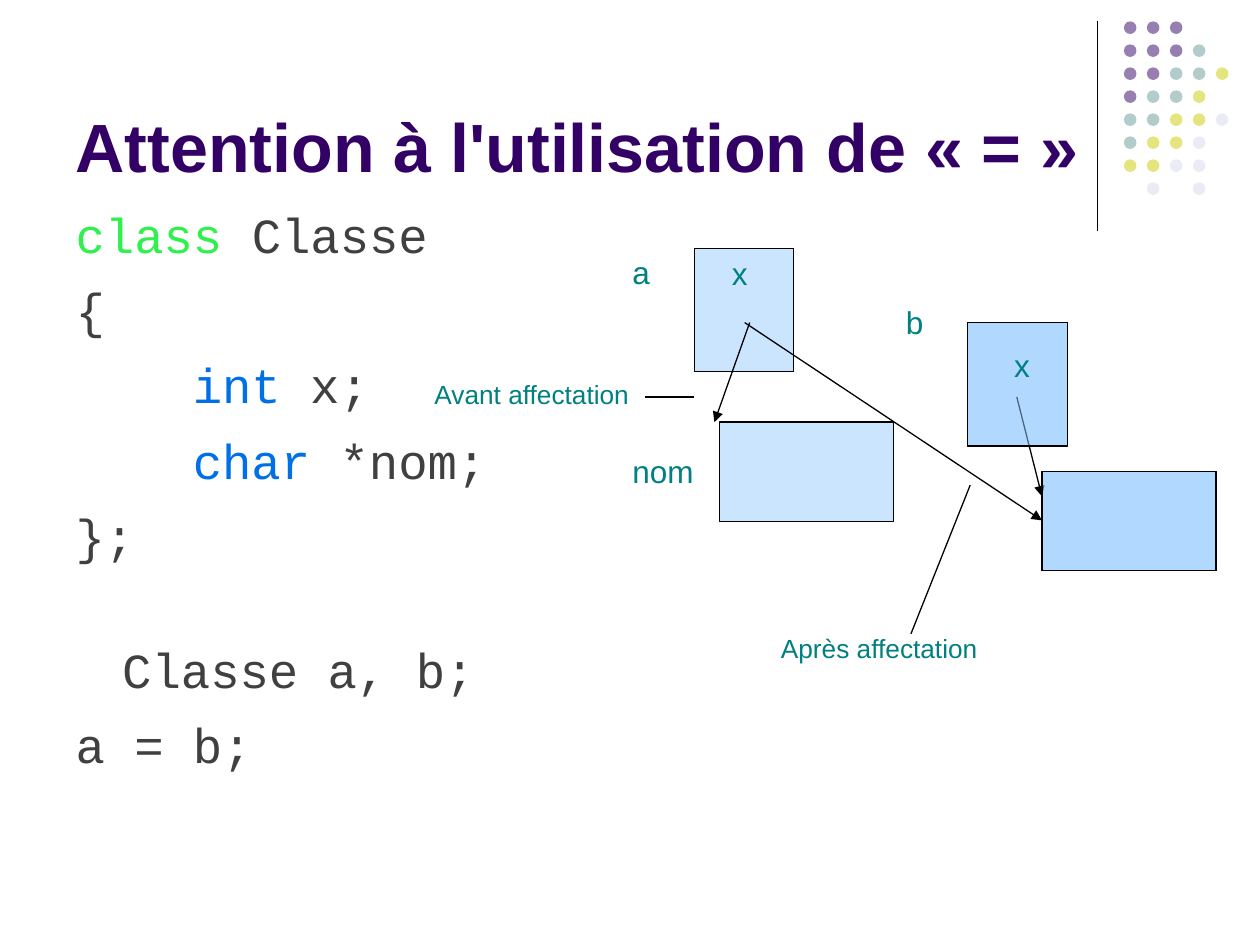
"""Build a slide on the pitfalls of assignment between objects holding pointers."""
from lxml import etree
from pptx import Presentation, util as u
from pptx.dml import color as c
from pptx.enum import shapes as s, text as t
from pptx.oxml import ns

COLORS = {
    "violet": "330066", "teal": "669999", "yellow": "CCCC00", "lilac": "D8D8EC",
    "box": "99CCFF", "line": "000000", "label": "008080",
    "code": "404040", "keyword": "30F050", "type": "0070E6",
}
Inches, Pt = u.Inches, u.Pt


class SlideBuilder:
    """Hold the style and the current slide, and draw each kind of element."""

    def __init__(self, presentation):
        """Start a slide with a title and a body."""
        self.slide = presentation.slides.add_slide(presentation.slide_layouts[1])
        self.shapes = self.slide.shapes
        self.line_width = Pt(0.75)

    def rgb(self, name):
        """Return the named colour."""
        return c.RGBColor.from_string(COLORS[name])

    def apply(self, target, values):
        """Set attributes from a dict."""
        for name, value in values.items():
            setattr(target, name, value)

    def add_run(self, paragraph, words, color, size, font="Arial", bold=False):
        """Append formatted text to a paragraph."""
        run = paragraph.add_run()
        run.text = words
        self.apply(run.font, {"name": font, "size": Pt(size), "bold": bold})
        run.font.color.rgb = self.rgb(color)

    def place(self, shape, left, top, width, height):
        """Move and size a shape."""
        self.apply(shape, {"left": Inches(left), "top": Inches(top),
                           "width": Inches(width), "height": Inches(height)})

    def title(self, words, *area):
        """Fill the title placeholder."""
        shape = self.shapes.title
        self.place(shape, *area)
        self.apply(shape.text_frame, {"vertical_anchor": t.MSO_ANCHOR.BOTTOM,
                                      "auto_size": t.MSO_AUTO_SIZE.NONE})
        paragraph = shape.text_frame.paragraphs[0]
        paragraph.alignment = t.PP_ALIGN.LEFT
        self.add_run(paragraph, words, "violet", 39, bold=True)

    def code(self, lines, *area):
        """Fill the body placeholder with coloured code."""
        shape = self.slide.placeholders[1]
        self.place(shape, *area)
        frame = shape.text_frame
        frame.auto_size = t.MSO_AUTO_SIZE.NONE
        for index, (indent, before, runs) in enumerate(lines):
            paragraph = frame.add_paragraph() if index else frame.paragraphs[0]
            self.apply(paragraph, {"space_before": Pt(before), "space_after": Pt(1.9)})
            properties = paragraph._p.get_or_add_pPr()
            properties.set("marL", str(Inches(indent)))
            properties.set("indent", "0")
            etree.SubElement(properties, ns.qn("a:buNone"))
            for words, color in runs:
                self.add_run(paragraph, words, color, 28, "Courier New")

    def label(self, words, size, *area):
        """Add a text label."""
        box = self.shapes.add_textbox(*map(Inches, area))
        box.text_frame.word_wrap = True
        self.add_run(box.text_frame.paragraphs[0], words, "label", size)

    def shape(self, kind, color, *area, outlined=False):
        """Add a half-transparent shape."""
        shape = self.shapes.add_shape(kind, *map(Inches, area))
        shape.shadow.inherit = False
        shape.fill.solid()
        shape.fill.fore_color.rgb = self.rgb(color)
        tint = shape.fill._xPr.find(ns.qn("a:solidFill"))[0]
        etree.SubElement(tint, ns.qn("a:alpha"), val="50000")
        if outlined:
            shape.line.color.rgb = self.rgb("line")
            shape.line.width = self.line_width
        else:
            shape.line.fill.background()
        return shape

    def box(self, *area):
        """Add a memory box."""
        kind = s.MSO_SHAPE.ROUNDED_RECTANGLE
        self.shape(kind, "box", *area, outlined=True).adjustments[0] = 0

    def line(self, start, end, arrow=False):
        """Add a straight line, with an arrowhead at its end if asked."""
        connector = self.shapes.add_connector(
            s.MSO_CONNECTOR.STRAIGHT, *map(Inches, (*start, *end)))
        connector.line.color.rgb = self.rgb("line")
        connector.line.width = self.line_width
        if arrow:
            etree.SubElement(connector.line._get_or_add_ln(), ns.qn("a:tailEnd"), type="triangle")
        etree.SubElement(connector._element.spPr, ns.qn("a:effectLst"))

    def dots(self, left, top, pitch, rows):
        """Add the dot ornament, one letter per dot."""
        names = {"V": "violet", "T": "teal", "Y": "yellow", "L": "lilac"}
        for row, letters in enumerate(rows):
            for column, letter in enumerate(letters):
                if letter in names:
                    self.shape(s.MSO_SHAPE.OVAL, names[letter],
                               left + column * pitch, top + row * pitch, 0.1, 0.1)


presentation = Presentation()
presentation.slide_width, presentation.slide_height = Inches(10), Inches(7.5)
builder = SlideBuilder(presentation)

builder.line((8.71, 0.17), (8.71, 1.83))
builder.dots(8.92, 0.17, 0.73 / 4,
             ["VVV", "VVVT", "VVTTY", "VTTY", "TTYYL", "TYYL", "YYLL", ".L.L"])
builder.title("Attention à l'utilisation de «\u00a0=\u00a0»", 0.5, 0.12, 8.23, 1.41)
builder.code([
    (0, 7.5, [("class ", "keyword"), ("Classe", "code")]),
    (0, 7.5, [("{", "code")]),
    (0.93, 7.5, [("int ", "type"), ("x;", "code")]),
    (0.93, 7.5, [("char ", "type"), ("*nom;", "code")]),
    (0, 7.5, [("};", "code")]),
    (0.37, 41.2, [("Classe a, b;", "code")]),
    (0, 7.5, [("a = b;", "code")]),
], 0.5, 1.57, 8.98, 5.11)

object_a, object_b = (5.51, 1.97, 0.79, 0.98), (7.68, 2.56, 0.79, 0.98)
name_a, name_b = (5.71, 3.35, 1.38, 0.79), (8.27, 3.74, 1.38, 0.79)
for area in (object_b, name_a, name_b, object_a):
    builder.box(*area)
builder.line((5.95, 2.56), (5.67, 3.35), arrow=True)
builder.line((8.07, 3.15), (8.27, 3.94), arrow=True)
for area in (object_b, name_b):
    builder.box(*area)
builder.line((5.91, 2.56), (8.27, 4.13), arrow=True)
builder.line((5.12, 3.15), (5.51, 3.15))
builder.line((7.7, 3.85), (7.23, 5.03))

for words, size, *area in [
    ("x", 18, 5.71, 1.97, 0.39, 0.4),
    ("x", 18, 7.95, 2.7, 0.32, 0.4),
    ("a", 18, 4.92, 1.96, 0.39, 0.4),
    ("b", 18, 7.09, 2.36, 0.39, 0.4),
    ("nom", 18, 4.92, 3.54, 0.79, 0.4),
    ("Avant affectation", 15, 3.35, 2.95, 2.16, 0.35),
    ("Après affectation", 15, 6.1, 4.97, 2.16, 0.35),
]:
    builder.label(words, size, *area)

presentation.save("out.pptx")
